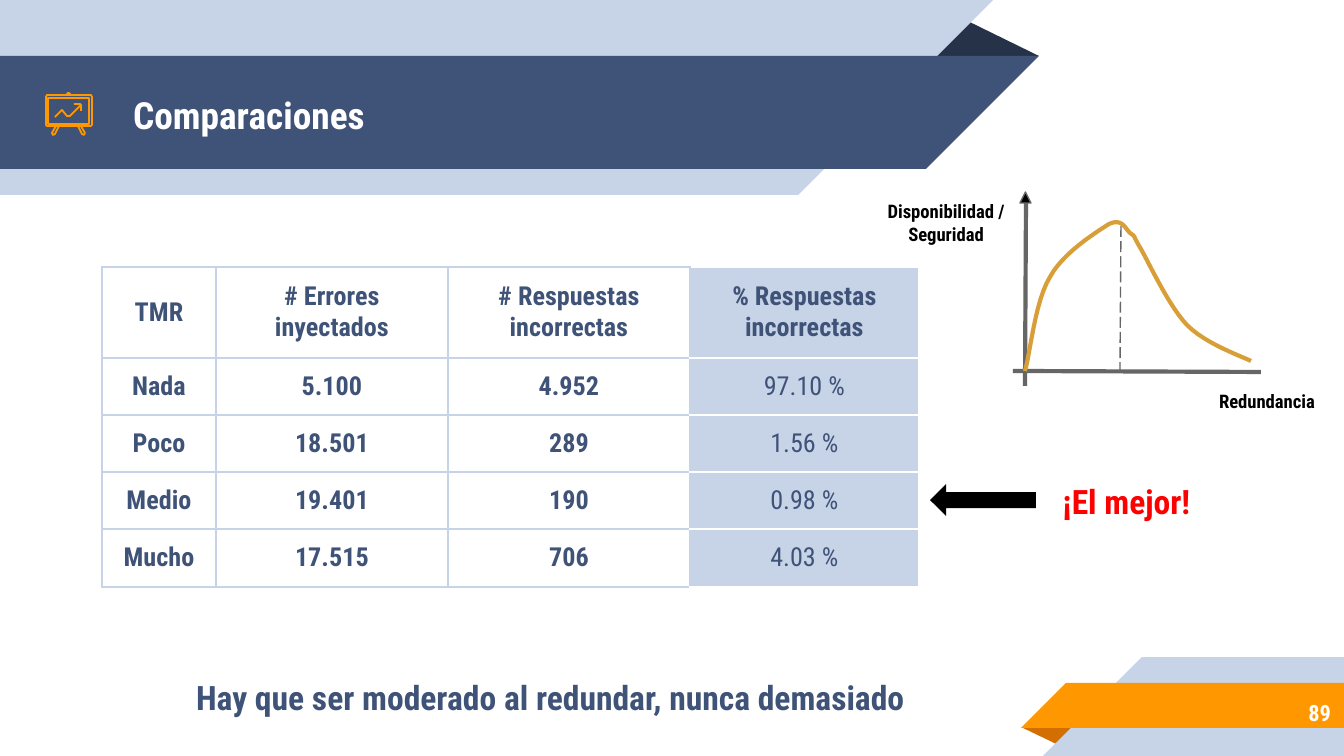
"""Build the slide comparing redundancy levels, with a table and a sketched curve."""
from lxml.etree import SubElement
from pptx import Presentation
from pptx.dml.color import RGBColor
from pptx.enum.dml import MSO_LINE
from pptx.enum.shapes import MSO_CONNECTOR, MSO_SHAPE
from pptx.enum.text import MSO_ANCHOR, PP_ALIGN
from pptx.oxml.ns import qn
from pptx.util import Pt

PX = 914400 / 134.4
FONT = "Roboto Condensed"
COLORS = {
    name: RGBColor.from_string(value)
    for name, value in {
        "pale": "C7D3E6", "navy": "3F5378", "dark": "263248", "orange": "FF9800",
        "rust": "D26F00", "white": "FFFFFF", "black": "000000", "red": "FF0000",
        "gray": "666666", "gold": "D89F39",
    }.items()
}

deck = Presentation()
deck.slide_width, deck.slide_height = round(1344 * PX), round(756 * PX)
page = deck.slides.add_slide(deck.slide_layouts[6])


def add_text(text, frame, size, color, align=PP_ALIGN.CENTER, anchor=MSO_ANCHOR.TOP):
    box = page.shapes.add_textbox(*[round(n * PX) for n in frame])
    body = box.text_frame
    body.word_wrap = True
    body.vertical_anchor = anchor
    body.margin_left = body.margin_right = round(13 * PX)
    body.margin_top = body.margin_bottom = round(13 * PX)
    paragraph = body.paragraphs[0]
    paragraph.text = text
    paragraph.alignment = align
    paragraph.font.name = FONT
    paragraph.font.size = Pt(size)
    paragraph.font.bold = True
    paragraph.font.color.rgb = COLORS[color]


def add_outline(points, color, width, close=False):
    scaled = [(round(x * PX), round(y * PX)) for x, y in points]
    builder = page.shapes.build_freeform(*scaled[0])
    builder.add_line_segments(scaled[1:], close=close)
    outline = builder.convert_to_shape()
    outline.shadow.inherit = False
    outline.fill.background()
    outline.line.color.rgb = COLORS[color]
    outline.line.width = Pt(width)


# kind, frame, color, rotation, adjustment
solids = [
    (MSO_SHAPE.ISOSCELES_TRIANGLE, (925, 18, 114, 38), "dark", 0, 0.32),
    (MSO_SHAPE.RECTANGLE, (0, 0, 798, 195), "pale", 0, None),
    (MSO_SHAPE.RIGHT_TRIANGLE, (798, 0, 195, 195), "pale", 90, None),
    (MSO_SHAPE.RECTANGLE, (0, 56, 926, 113), "navy", 0, None),
    (MSO_SHAPE.RIGHT_TRIANGLE, (926, 56, 113, 113), "navy", 90, None),
    (MSO_SHAPE.ISOSCELES_TRIANGLE, (1021, 727, 58, 19), "rust", 180, 0.32),
    (MSO_SHAPE.RECTANGLE, (1142, 657, 202, 99), "pale", 0, None),
    (MSO_SHAPE.RIGHT_TRIANGLE, (1043, 657, 99, 99), "pale", 270, None),
    (MSO_SHAPE.RECTANGLE, (1066, 683, 278, 45), "orange", 0, None),
    (MSO_SHAPE.RIGHT_TRIANGLE, (1021, 683, 45, 45), "orange", 270, None),
    (MSO_SHAPE.RIGHT_ARROW, (930, 484, 106, 32), "black", 180, None),
]
for kind, frame, color, rotation, adjustment in solids:
    solid = page.shapes.add_shape(kind, *[round(n * PX) for n in frame])
    solid.shadow.inherit = False
    solid.fill.solid()
    solid.fill.fore_color.rgb = COLORS[color]
    solid.line.fill.background()
    solid.rotation = rotation
    if adjustment is not None:
        solid.adjustments[0] = adjustment

add_text("Comparaciones", (120, 58, 773, 113), 20, "white", PP_ALIGN.LEFT, MSO_ANCHOR.MIDDLE)
add_text("89", (1125, 689, 219, 47), 12, "white", PP_ALIGN.RIGHT, MSO_ANCHOR.MIDDLE)

board = [(47, 95), (91, 95), (92, 97), (92, 125), (91, 126), (47, 126), (46, 125), (46, 97)]
screen = [(48, 98), (48, 124), (89, 124), (89, 98)]
knob = [(70, 95), (70, 94), (69, 93), (68, 93), (67, 94), (67, 95)]
left_leg = [(56, 126), (52, 133), (53, 135), (55, 134), (59, 126)]
right_leg = [(137 - x, y) for x, y in left_leg]
trend = [(81, 105), (70, 116), (67, 116), (62, 110), (55, 117)]
trend_tip = [(74, 104), (80, 104), (81, 105), (81, 111)]
for points in (board, screen):
    add_outline(points, "orange", 0.96, close=True)
for points in (knob, left_leg, right_leg, trend, trend_tip):
    add_outline(points, "orange", 0.96)

rows = [
    ("TMR", "# Errores inyectados", "# Respuestas incorrectas", "% Respuestas incorrectas"),
    ("Nada", "5.100", "4.952", "97.10 %"),
    ("Poco", "18.501", "289", "1.56 %"),
    ("Medio", "19.401", "190", "0.98 %"),
    ("Mucho", "17.515", "706", "4.03 %"),
]
column_widths = [114, 232, 242, 229]
row_heights = [91, 57, 57, 57, 58]
frame = (102, 267, sum(column_widths), sum(row_heights))
table = page.shapes.add_table(5, 4, *[round(n * PX) for n in frame]).table
table.first_row = table.horz_banding = False
for column, width in zip(table.columns, column_widths):
    column.width = round(width * PX)
for row, height in zip(table.rows, row_heights):
    row.height = round(height * PX)
for row_index, texts in enumerate(rows):
    for column_index, text in enumerate(texts):
        cell = table.cell(row_index, column_index)
        last = column_index == 3
        cell.vertical_anchor = MSO_ANCHOR.MIDDLE
        cell.margin_left = cell.margin_right = round(13 * PX)
        cell.margin_top = cell.margin_bottom = round(9 * PX)
        for side in ("lnL", "lnR", "lnT", "lnB"):
            edge = SubElement(cell._tc.get_or_add_tcPr(), qn(f"a:{side}"), w=str(Pt(0.75)))
            paint = SubElement(edge, qn("a:solidFill"))
            shade = "white" if last and side != "lnL" else "pale"
            SubElement(paint, qn("a:srgbClr"), val=str(COLORS[shade]))
        if last:
            cell.fill.solid()
            cell.fill.fore_color.rgb = COLORS["pale"]
        else:
            cell.fill.background()
        paragraph = cell.text_frame.paragraphs[0]
        paragraph.text = text
        paragraph.alignment = PP_ALIGN.CENTER
        paragraph.font.name = FONT
        paragraph.font.size = Pt(14)
        paragraph.font.bold = row_index == 0 or not last
        paragraph.font.color.rgb = COLORS["navy"]

axes = [
    ((1013, 371, 1261, 372), 2.25, None),
    ((1025, 386, 1026, 203), 2.25, None),
    ((1121, 226, 1120, 372), 0.75, MSO_LINE.LONG_DASH),
]
for ends, width, dash in axes:
    axis = page.shapes.add_connector(MSO_CONNECTOR.STRAIGHT, *[round(n * PX) for n in ends])
    axis.line.color.rgb = COLORS["gray"]
    axis.line.width = Pt(width)
    if dash:
        axis.line.dash_style = dash
    SubElement(axis._element.spPr, qn("a:effectLst"))

axis_tip = page.shapes.add_shape(
    MSO_SHAPE.ISOSCELES_TRIANGLE, *[round(n * PX) for n in (1020, 192, 11, 11)])
axis_tip.shadow.inherit = False
axis_tip.fill.solid()
axis_tip.fill.fore_color.rgb = COLORS["black"]
axis_tip.line.color.rgb = COLORS["gray"]
axis_tip.line.width = Pt(0.75)

controls = [
    (1025, 371), (1030, 355), (1035, 301), (1050, 277), (1063, 253), (1095, 233), (1109, 224),
    (1122, 218), (1125, 228), (1130, 233), (1136, 237), (1132, 234), (1141, 249),
    (1150, 265), (1169, 306), (1187, 325), (1206, 344), (1241, 356), (1251, 361),
]
curve = [controls[0]]
for start in range(0, len(controls) - 1, 3):
    for step in range(1, 13):
        t = step / 12
        weights = ((1 - t) ** 3, 3 * t * (1 - t) ** 2, 3 * t ** 2 * (1 - t), t ** 3)
        bends = controls[start:start + 4]
        curve.append(tuple(sum(w * bend[k] for w, bend in zip(weights, bends)) for k in (0, 1)))
add_outline(curve, "gold", 2.25)

add_text("¡El mejor!", (1047, 468, 159, 63), 18, "red")
add_text("Disponibilidad / Seguridad", (872, 187, 148, 66), 10, "black")
add_text("Redundancia", (1204, 379, 126, 36), 10, "black")
add_text("Hay que ser moderado al redundar, nunca demasiado", (140, 664, 821, 63), 18, "navy")

deck.save("out.pptx")
